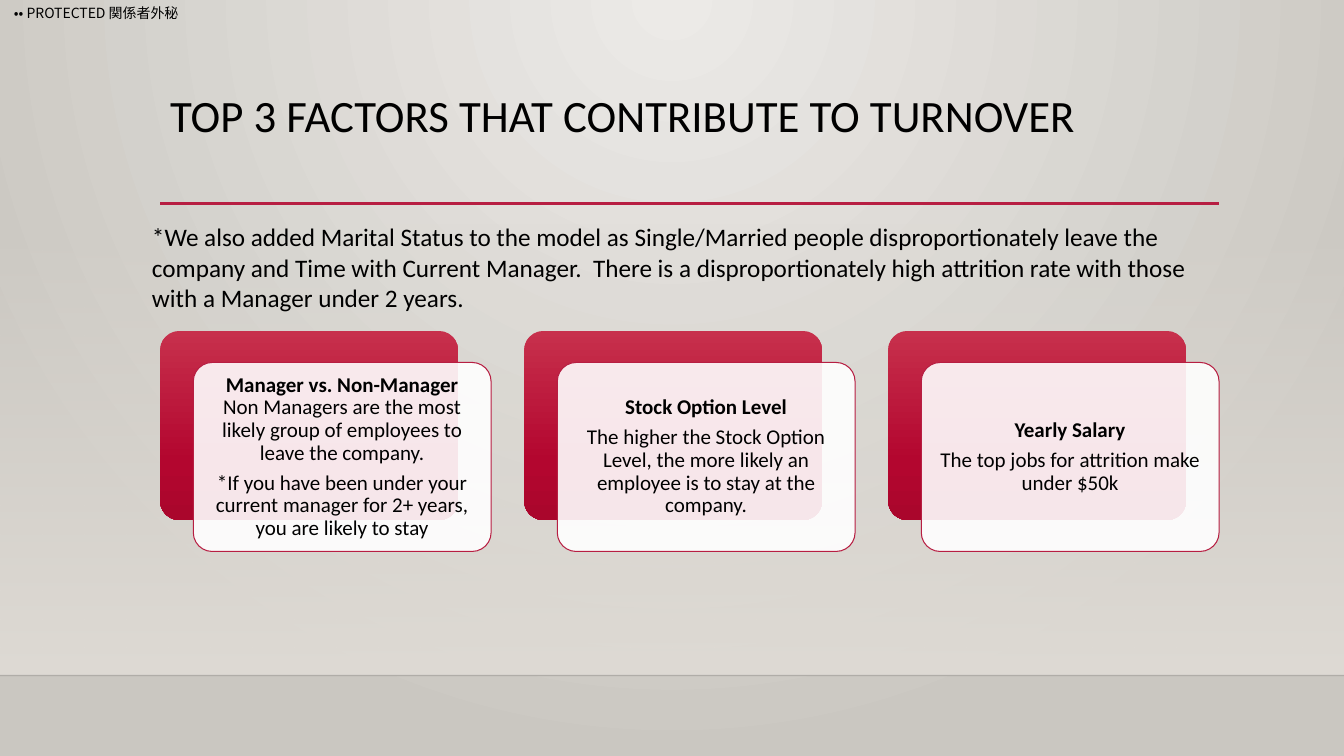
import pptx
import pptx.dml.color
import pptx.enum.shapes
import pptx.enum.text
import pptx.oxml
import pptx.oxml.ns
import pptx.util
from lxml import etree

Pt = pptx.util.Pt
RGB = pptx.dml.color.RGBColor.from_string
qn = pptx.oxml.ns.qn
ALIGN = pptx.enum.text.PP_ALIGN
ANCHOR = pptx.enum.text.MSO_ANCHOR
SHAPE = pptx.enum.shapes.MSO_SHAPE

COLORS = {
    "text": "000000", "white": "FFFFFF", "accent": "B71E42",
    "glow": "ECEAE7", "wall": "CAC7C1", "haze": "DFDBD5",
    "red_top": "C7304C", "red_mid": "B3062F", "red_low": "AA062C",
}
CARDS = [
    [("Manager vs. Non-Manager",
      "Non Managers are the most likely group of employees to leave the company."),
     ("", "*If you have been under your current manager for 2+ years, you are likely to stay")],
    [("Stock Option Level", ""),
     ("", "The higher the Stock Option Level, the more likely an employee is to stay at the company.")],
    [("Yearly Salary", ""),
     ("", "The top jobs for attrition make under $50k")],
]


def set_gradient(properties, stops, direction):
    """Replace the gradient in properties; stops are (percent, color, alpha)."""
    marks = "".join(
        f'<a:gs pos="{position * 1000}"><a:srgbClr val="{COLORS[color]}">'
        f'<a:alpha val="{alpha * 1000}"/></a:srgbClr></a:gs>'
        for position, color, alpha in stops)
    gradient = pptx.oxml.parse_xml(
        '<a:gradFill xmlns:a="http://schemas.openxmlformats.org/drawingml/2006/main"'
        f' rotWithShape="1"><a:gsLst>{marks}</a:gsLst>{direction}</a:gradFill>')
    properties.replace(properties.find(qn("a:gradFill")), gradient)


def add_text(text, left, top, width, height, size, font="Calibri"):
    box = page.shapes.add_textbox(Pt(left), Pt(top), Pt(width), Pt(height))
    box.text_frame.word_wrap = True
    para = box.text_frame.paragraphs[0]
    para.text = text
    para.font.size, para.font.name = Pt(size), font
    para.font.color.rgb = RGB(COLORS["text"])
    return box


deck = pptx.Presentation()
deck.slide_width, deck.slide_height = Pt(960), Pt(540)
page = deck.slides.add_slide(deck.slide_layouts[6])
DOWN = '<a:lin ang="5400000" scaled="0"/>'

# Background with a glow at the top centre
page.background.fill.gradient()
set_gradient(next(page._element.iter(qn("p:bgPr"))),
             [(0, "glow", 100), (100, "wall", 100)],
             '<a:path path="circle"><a:fillToRect l="43000" t="0" r="43000" b="100000"/></a:path>')

# Haze that thickens towards the floor
haze = page.shapes.add_shape(SHAPE.RECTANGLE, 0, Pt(159), Pt(960), Pt(323.5))
haze.shadow.inherit = False
haze.line.fill.background()
haze.fill.gradient()
set_gradient(haze._element.spPr, [(0, "haze", 0), (100, "haze", 100)], DOWN)

# Floor edge and title rule
for left, right, top, color, weight, alpha in [
        (0, 960, 482.5, "text", 1, 20), (114.5, 871, 145.25, "accent", 2.5, 100)]:
    rule = page.shapes.add_connector(
        pptx.enum.shapes.MSO_CONNECTOR.STRAIGHT, Pt(left), Pt(top), Pt(right), Pt(top))
    rule.line.color.rgb = RGB(COLORS[color])
    rule.line.width = Pt(weight)
    etree.SubElement(next(rule._element.iter(qn("a:srgbClr"))), qn("a:alpha"),
                     val=str(alpha * 1000))
    etree.SubElement(rule._element.spPr, qn("a:effectLst"))

# Marking, title and remark
marking = add_text("•• PROTECTED 関係者外秘", 0, 0, 139.7, 18.7, 10, "Noto Sans CJK JP")
marking.text_frame.word_wrap = False
marking.text_frame.vertical_anchor = ANCHOR.MIDDLE
marking.text_frame.margin_left = Pt(10)
marking.text_frame.margin_top = marking.text_frame.margin_bottom = 0
marking.text_frame.margin_right = 0
title = add_text("TOP 3 FACTORS THAT CONTRIBUTE TO TURNOVER", 114.5, 63.4, 756, 82.8, 32)
title.text_frame.paragraphs[0].line_spacing = 0.9
add_text("*We also added Marital Status to the model as Single/Married people "
         "disproportionately leave the company and Time with Current Manager.  "
         "There is a disproportionately high attrition rate with those with a "
         "Manager under 2 years.", 101.5, 154.8, 756, 72.7, 18)

# Factor cards: a red plate behind a translucent white one
for index, paragraphs in enumerate(CARDS):
    left, top = 114.5 + 260 * index, 236.4
    plates = []
    for shift in (0, 1):
        plate = page.shapes.add_shape(SHAPE.ROUNDED_RECTANGLE, Pt(left + 23.6 * shift),
                                      Pt(top + 22.5 * shift), Pt(212.7), Pt(135))
        plate.adjustments[0] = 0.1
        plate.shadow.inherit = False
        plates.append(plate)
    back, front = plates
    back.line.fill.background()
    back.fill.gradient()
    set_gradient(back._element.spPr,
                 [(0, "red_top", 100), (69, "red_mid", 100), (100, "red_low", 100)], DOWN)
    front.fill.solid()
    front.fill.fore_color.rgb = RGB(COLORS["white"])
    etree.SubElement(next(front._element.spPr.iter(qn("a:srgbClr"))), qn("a:alpha"), val="90000")
    front.line.color.rgb = RGB(COLORS["accent"])
    front.line.width = Pt(0.75)

    box = page.shapes.add_textbox(Pt(left + 27.5), Pt(top + 26.4), Pt(204.7), Pt(127.4))
    frame = box.text_frame
    frame.word_wrap = True
    frame.vertical_anchor = ANCHOR.MIDDLE
    frame.margin_left = frame.margin_right = frame.margin_top = frame.margin_bottom = Pt(4.5)
    for number, (heading, body) in enumerate(paragraphs):
        para = frame.add_paragraph() if number else frame.paragraphs[0]
        para.alignment = ALIGN.CENTER
        para.line_spacing, para.space_after = 0.9, Pt(5.25)
        para.font.size, para.font.name = Pt(15), "Calibri"
        para.font.color.rgb = RGB(COLORS["text"])
        if heading:
            span = para.add_run()
            span.text, span.font.bold = heading, True
        if heading and body:
            para.add_line_break()
        if body:
            para.add_run().text = body

deck.save("out.pptx")
